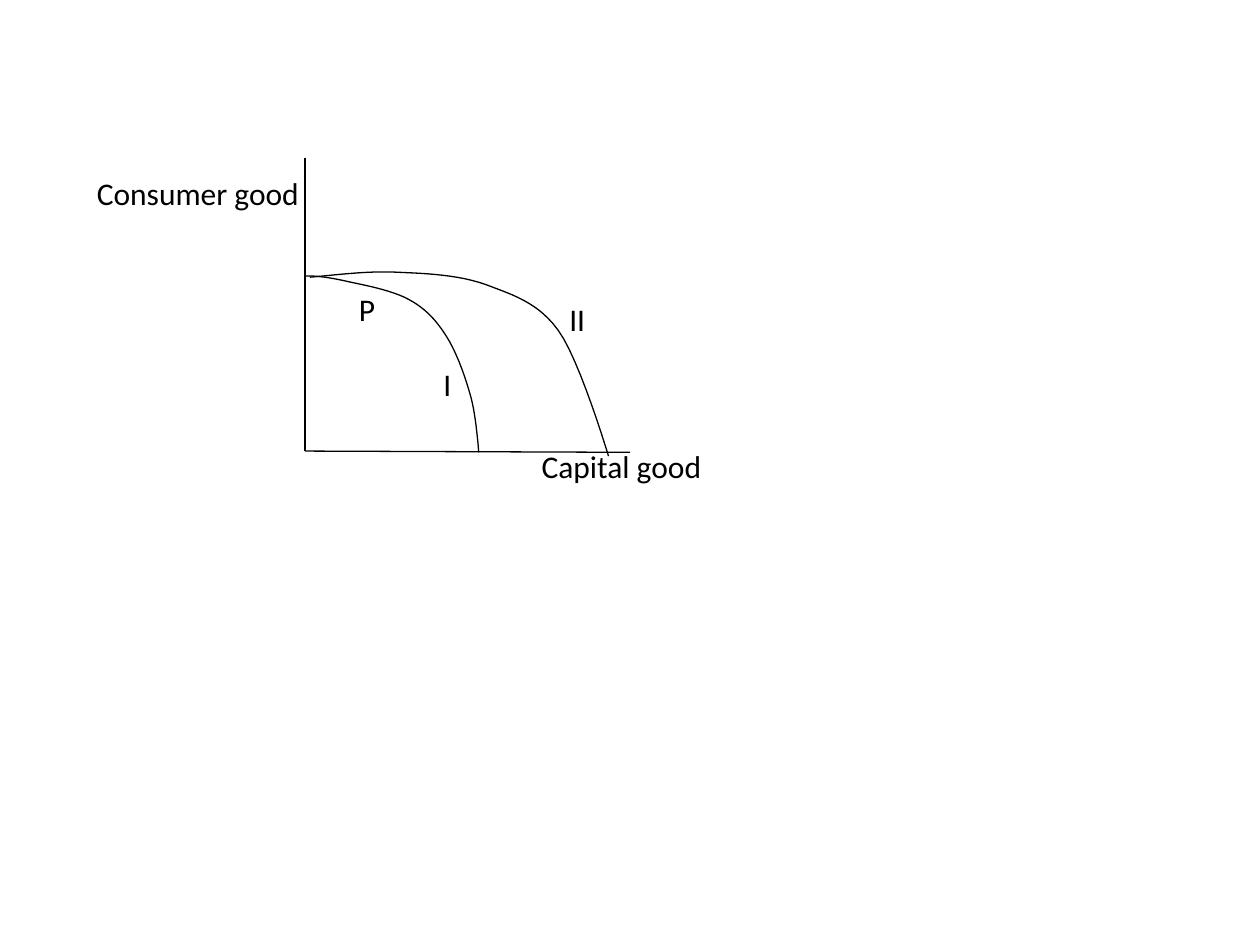
from dataclasses import dataclass

from lxml.etree import SubElement
from pptx import Presentation
from pptx.dml.color import RGBColor
from pptx.enum.shapes import MSO_CONNECTOR
from pptx.enum.text import MSO_AUTO_SIZE
from pptx.oxml.ns import qn
from pptx.util import Emu, Pt

PX = 9144
CURVE_STEPS = 12


@dataclass(frozen=True)
class Theme:
    ink: RGBColor = RGBColor(0, 0, 0)
    font: str = "Calibri"
    label_size: Pt = Pt(18)
    line_width: Pt = Pt(0.75)


THEME = Theme()

AXES = [((0, 0), (0, 233)), ((0, 233), (258, 234))]
FRONTIERS = [
    [(1, 94), (10, 94), (18, 95), (32, 98), (45, 101), (69, 105), (83, 113),
     (96, 120), (105, 130), (113, 143), (121, 156), (128, 176), (132, 191),
     (136, 206), (138, 234), (138, 234)],
    [(4, 95), (27, 93), (49, 90), (72, 91), (96, 92), (122, 93), (144, 101),
     (165, 109), (185, 115), (201, 137), (218, 160), (241, 237), (241, 237)],
]
LABELS = [
    ("II", 200, 108, 33),
    ("I", 100, 160, 27),
    ("P", 33, 100, 33),
    ("Consumer good", -175, 8, 188),
    ("Capital good", 178, 225, 154),
]


def px(value):
    """Turn px into EMU."""
    return Emu(round(value * PX))


def style_line(shape):
    """Give a line or outline the theme's stroke."""
    shape.line.color.rgb = THEME.ink
    shape.line.width = THEME.line_width


def add_axis(slide, left, top, start, end):
    """Draw one straight axis without a shadow."""
    axis = slide.shapes.add_connector(
        MSO_CONNECTOR.STRAIGHT,
        px(left + start[0]), px(top + start[1]),
        px(left + end[0]), px(top + end[1]),
    )
    style_line(axis)
    SubElement(axis._element.spPr, qn("a:effectLst"))


def bezier_points(controls):
    """Sample a chain of cubic Bézier segments after its first point."""
    for first in range(0, len(controls) - 1, 3):
        segment = controls[first:first + 4]
        for step in range(1, CURVE_STEPS + 1):
            t = step / CURVE_STEPS
            weights = ((1 - t) ** 3, 3 * t * (1 - t) ** 2, 3 * t * t * (1 - t), t ** 3)
            yield tuple(
                sum(weight * point[i] for weight, point in zip(weights, segment))
                for i in (0, 1)
            )


def add_frontier(slide, left, top, controls):
    """Draw one production possibility curve."""
    start_x, start_y = controls[0]
    builder = slide.shapes.build_freeform(px(left + start_x), px(top + start_y))
    builder.add_line_segments(
        [(px(left + x), px(top + y)) for x, y in bezier_points(controls)], close=False
    )
    curve = builder.convert_to_shape()
    curve.shadow.inherit = False
    curve.fill.background()
    style_line(curve)


def add_label(slide, text, left, top, width):
    """Place one unwrapped text label."""
    box = slide.shapes.add_textbox(px(left), px(top), px(width), px(40))
    frame = box.text_frame
    frame.word_wrap = False
    frame.auto_size = MSO_AUTO_SIZE.SHAPE_TO_FIT_TEXT
    paragraph = frame.paragraphs[0]
    paragraph.text = text
    paragraph.font.name = THEME.font
    paragraph.font.size = THEME.label_size
    paragraph.font.color.rgb = THEME.ink


def add_diagram(slide, left, top):
    """Draw axes, curves and labels relative to the top of the vertical axis."""
    for start, end in AXES:
        add_axis(slide, left, top, start, end)
    for controls in FRONTIERS:
        add_frontier(slide, left, top, controls)
    for text, x, y, width in LABELS:
        add_label(slide, text, left + x, top + y, width)


def main():
    """Build and save the presentation."""
    presentation = Presentation()
    presentation.slide_width = px(1000)
    presentation.slide_height = px(750)
    slide = presentation.slides.add_slide(presentation.slide_layouts[6])
    add_diagram(slide, 242, 125)
    presentation.save("out.pptx")


if __name__ == "__main__":
    main()
